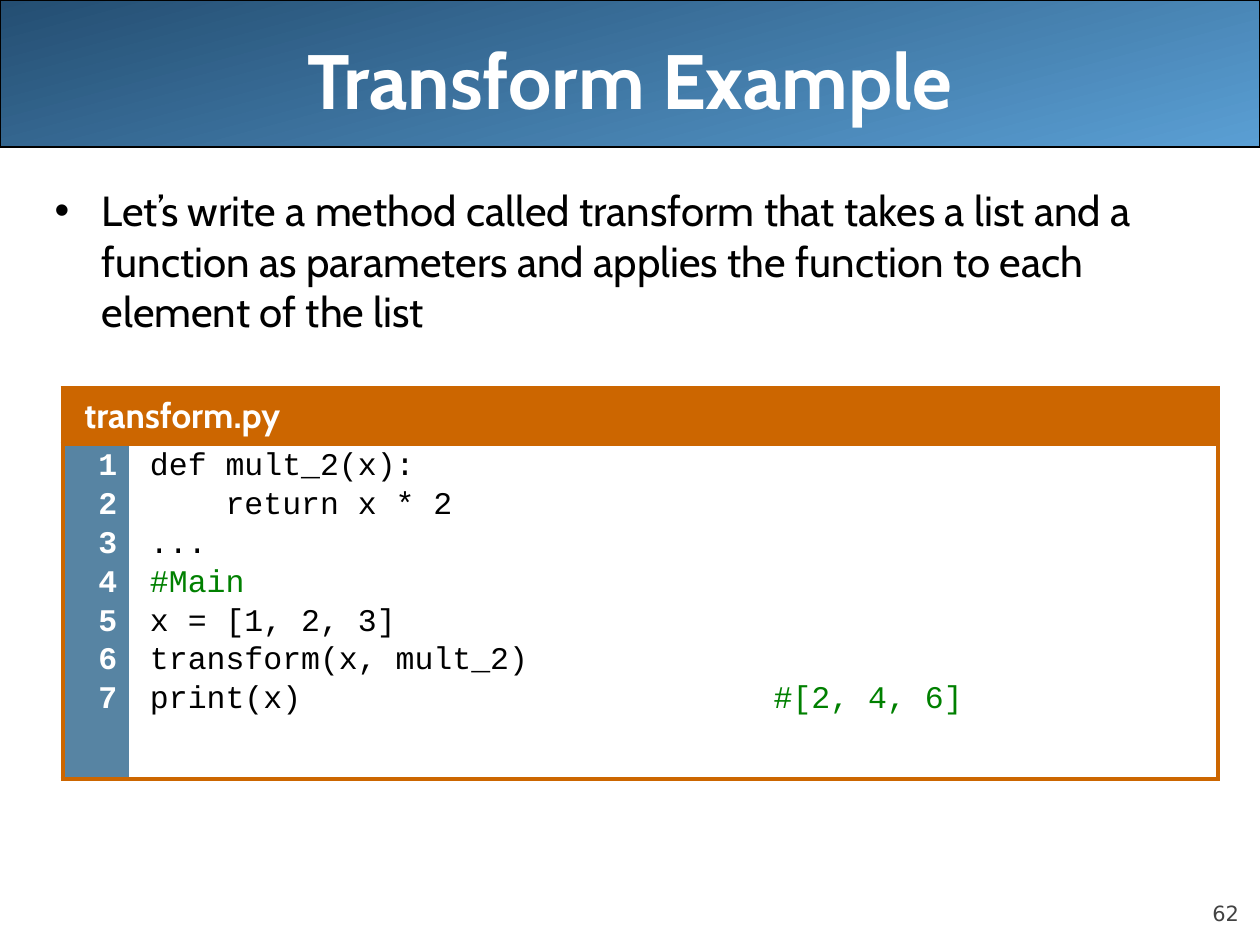
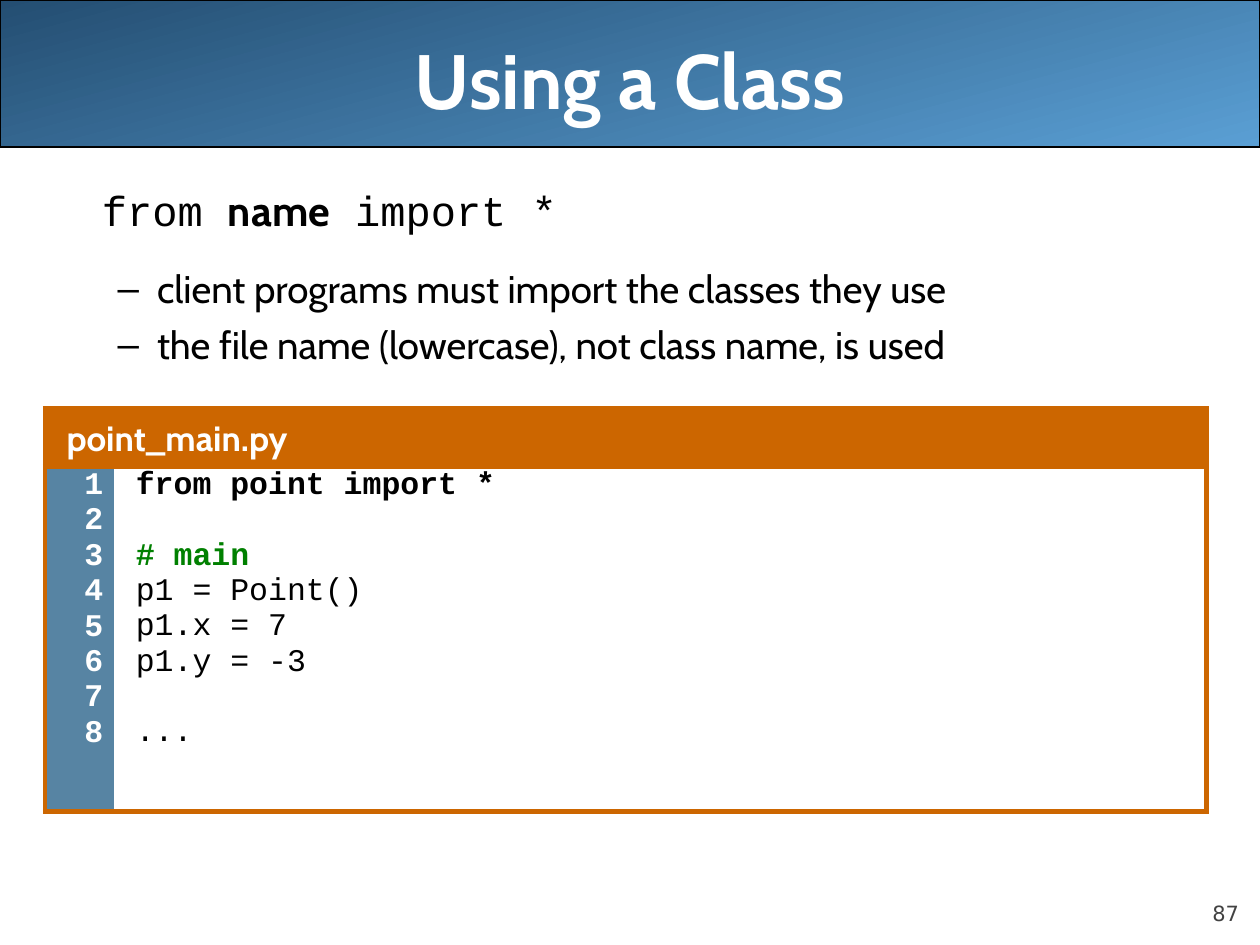
"""Build two lecture slides, each with a title band, body text and a code listing."""
from lxml import etree
from pptx import Presentation
from pptx.dml.color import RGBColor
from pptx.enum.shapes import MSO_SHAPE
from pptx.enum.text import MSO_ANCHOR, MSO_AUTO_SIZE, PP_ALIGN
from pptx.oxml.ns import qn
from pptx.util import Inches, Pt

ROUNDED = MSO_SHAPE.ROUNDED_RECTANGLE
MIDDLE, BOTTOM = MSO_ANCHOR.MIDDLE, MSO_ANCHOR.BOTTOM
NO_FIT = MSO_AUTO_SIZE.NONE
CENTER, LEFT, RIGHT = PP_ALIGN.CENTER, PP_ALIGN.LEFT, PP_ALIGN.RIGHT

BLACK = RGBColor(0x00, 0x00, 0x00)
WHITE = RGBColor(0xFF, 0xFF, 0xFF)
GRAY = RGBColor(0x42, 0x42, 0x42)
NAVY = RGBColor(0x24, 0x4E, 0x72)
SKY = RGBColor(0x5A, 0x9F, 0xD4)
STEEL = RGBColor(0x57, 0x84, 0xA3)
ORANGE = RGBColor(0xCC, 0x66, 0x00)
GREEN = RGBColor(0x00, 0x80, 0x00)

SANS, MONO, NUMBER_FONT = "Cabin", "Courier New", "DejaVu Sans"
CODE_SIZE, CODE_GAP, MONO_HEIGHT = 18, 4.5, 1.13
COLUMNS, ROWS = 120, 90
WIDTH, HEIGHT = Inches(10), Inches(7.5)
UNIT = WIDTH // COLUMNS
COMMENT_TAB = int(59.4 * UNIT)

PAGES = [
    {
        "title": "Transform Example", "number": "62", "body_rows": 18,
        "body": [(0, 0, 24, [("Let’s write a method called transform that takes a list and a "
                              "function as parameters and applies the function to each "
                              "element of the list", SANS, False)])],
        "file": "transform.py", "corner": (6, 37), "columns": (6.25, 103.75),
        "rows": (5.3, 31.9), "spacing": 0.87, "header_spacing": 1, "bold_lines": 0,
        "code": ["def mult_2(x):", "    return x * 2", "...", "#Main", "x = [1, 2, 3]",
                 "transform(x, mult_2)", "print(x)\t#[2, 4, 6]"],
    },
    {
        "title": "Using a Class", "number": "87", "body_rows": 65,
        "body": [
            (0, 0, 24, [("from ", MONO, False), ("name", SANS, True),
                        (" import *", MONO, False)]),
            (1, 17, 22, [("client programs must import the classes they use", SANS, False)]),
            (1, 5.5, 22, [("the file name (lowercase), not class name, is used",
                           SANS, False)]),
        ],
        "file": "point_main.py", "corner": (4.3, 38.9), "columns": (6.6, 104),
        "rows": (5.5, 32.9), "spacing": 0.77, "header_spacing": 1.07, "bold_lines": 3,
        "code": ["from point import *", "", "# main", "p1 = Point()", "p1.x = 7",
                 "p1.y = -3", "", "..."],
    },
]


def grid(*counts):
    """Turn counts of grid units into lengths."""
    return [int(count * UNIT) for count in counts]


def style(para, name, size, color, bold=False, align=LEFT):
    """Set the font and alignment of a paragraph."""
    para.alignment = align
    font = para.font
    font.name, font.size, font.bold = name, Pt(size), bold
    font.color.rgb = color


deck = Presentation()
deck.slide_width, deck.slide_height = WIDTH, HEIGHT
layout = deck.slide_layouts[1]

for index, page in enumerate(PAGES):
    slide = deck.slides.add_slide(layout)
    shapes = slide.shapes

    if index == 0:
        band = shapes.add_shape(ROUNDED, *grid(0, 0, COLUMNS, 14))
        band.adjustments[0] = 0
        band.shadow.inherit = False
        band.fill.gradient()
        band.fill.gradient_angle = 285
        for stop, color in zip(band.fill.gradient_stops, (NAVY, SKY)):
            stop.color.rgb = color
        band.line.color.rgb = BLACK
        band.line.width = Pt(0.75)
        layout.shapes.element.insert(2, band.element)

    title = shapes.title
    title.left, title.top, title.width, title.height = grid(6, 0, 108, 15)
    title.text_frame.text = page["title"]
    title.text_frame.vertical_anchor = MIDDLE
    title.text_frame.auto_size = NO_FIT
    style(title.text_frame.paragraphs[0], SANS, 44, WHITE, True, CENTER)

    body = slide.placeholders[1]
    body.left, body.top, body.width, body.height = grid(4, 17, 114, page["body_rows"])
    frame = body.text_frame
    frame.auto_size = NO_FIT
    for position, (level, gap, size, spans) in enumerate(page["body"]):
        para = frame.add_paragraph() if position else frame.paragraphs[0]
        para.level = level
        para.space_before = Pt(gap)
        if len(spans) > 1:
            properties = para._p.get_or_add_pPr()
            properties.set("indent", "0")
            etree.SubElement(properties, qn("a:buNone"))
        style(para, spans[0][1], size, BLACK)
        for text, name, bold in spans:
            span = para.add_run()
            span.text = text
            if len(spans) > 1:
                span.font.name, span.font.bold = name, bold

    number = shapes.add_textbox(*grid(108, 83.4, 10, 4.8))
    frame = number.text_frame
    frame.word_wrap = True
    frame.margin_left = frame.margin_right = frame.margin_top = frame.margin_bottom = 0
    frame.vertical_anchor = BOTTOM
    frame.text = page["number"]
    style(frame.paragraphs[0], NUMBER_FONT, 12, GRAY, align=RIGHT)

    size = grid(sum(page["columns"]), sum(page["rows"]))
    table = shapes.add_table(2, 2, *grid(*page["corner"]), *size).table
    table.first_row = table.horz_banding = False
    for column, width in zip(table.columns, grid(*page["columns"])):
        column.width = width
    for row, height in zip(table.rows, grid(*page["rows"])):
        row.height = height
    header, spare = table.cell(0, 0), table.cell(0, 1)
    numbers, code = table.cell(1, 0), table.cell(1, 1)
    header.merge(spare)

    for cell, fill, sides, right in (
            (header, ORANGE, "LRTB", 0.05), (spare, ORANGE, "LRTB", 0.05),
            (numbers, STEEL, "LTB", 0.09), (code, WHITE, "RTB", 0.18)):
        properties = cell._tc.get_or_add_tcPr()
        for side in "LRTB":
            edge = etree.SubElement(properties, qn(f"a:ln{side}"), w=str(Pt(3)))
            if side in sides:
                paint = etree.SubElement(edge, qn("a:solidFill"))
                etree.SubElement(paint, qn("a:srgbClr"), val=str(ORANGE))
            else:
                etree.SubElement(edge, qn("a:noFill"))
        cell.fill.solid()
        cell.fill.fore_color.rgb = fill
        cell.margin_left, cell.margin_right = Inches(0.17), Inches(right)
        cell.margin_top = cell.margin_bottom = Inches(0.05)

    header.text_frame.text = page["file"]
    para = header.text_frame.paragraphs[0]
    para.line_spacing = page["header_spacing"]
    style(para, SANS, 20, WHITE, True)

    numbers.text_frame.text = "\n".join(str(line + 1) for line in range(len(page["code"])))
    for line, para in enumerate(numbers.text_frame.paragraphs):
        para.line_spacing = page["spacing"]
        para.space_before = Pt(CODE_GAP if line else 0)
        style(para, MONO, CODE_SIZE, WHITE, True, RIGHT)

    pitch = CODE_SIZE * MONO_HEIGHT * page["spacing"] + CODE_GAP
    gap = 0
    for line, text in enumerate(page["code"]):
        if not text:
            gap += pitch
            continue
        para = code.text_frame.add_paragraph() if line else code.text_frame.paragraphs[0]
        para.line_spacing = page["spacing"]
        para.space_before = Pt(gap)
        gap = CODE_GAP if line + 1 < len(page["code"]) else 0
        statement, tab, comment = text.partition("\t")
        if tab:
            stops = etree.SubElement(para._p.get_or_add_pPr(), qn("a:tabLst"))
            etree.SubElement(stops, qn("a:tab"), pos=str(COMMENT_TAB), algn="l")
        color = GREEN if text.startswith("#") else BLACK
        style(para, MONO, CODE_SIZE, color, line < page["bold_lines"])
        para.add_run().text = statement + tab
        if comment:
            span = para.add_run()
            span.text = comment
            span.font.color.rgb = GREEN

deck.save("out.pptx")
